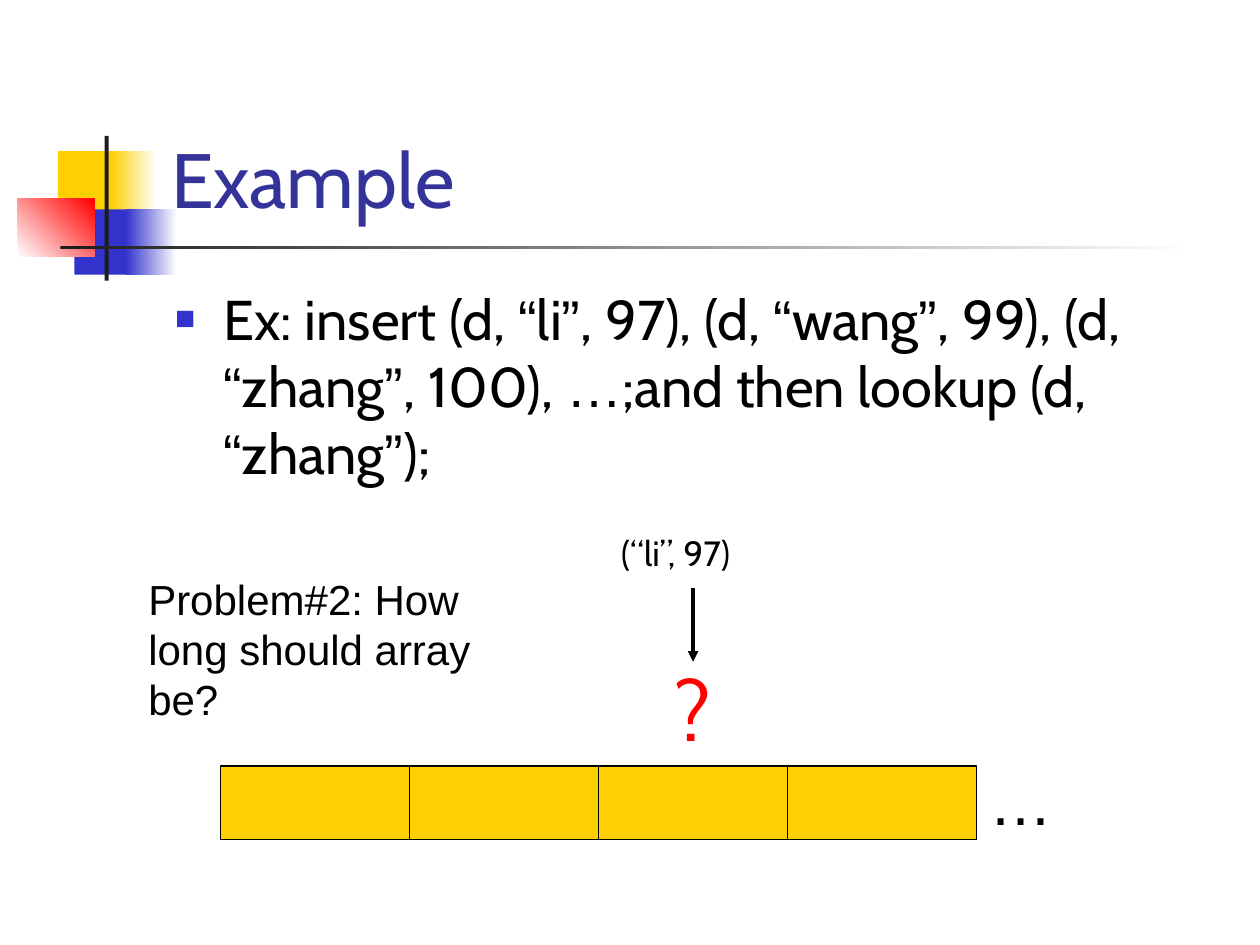
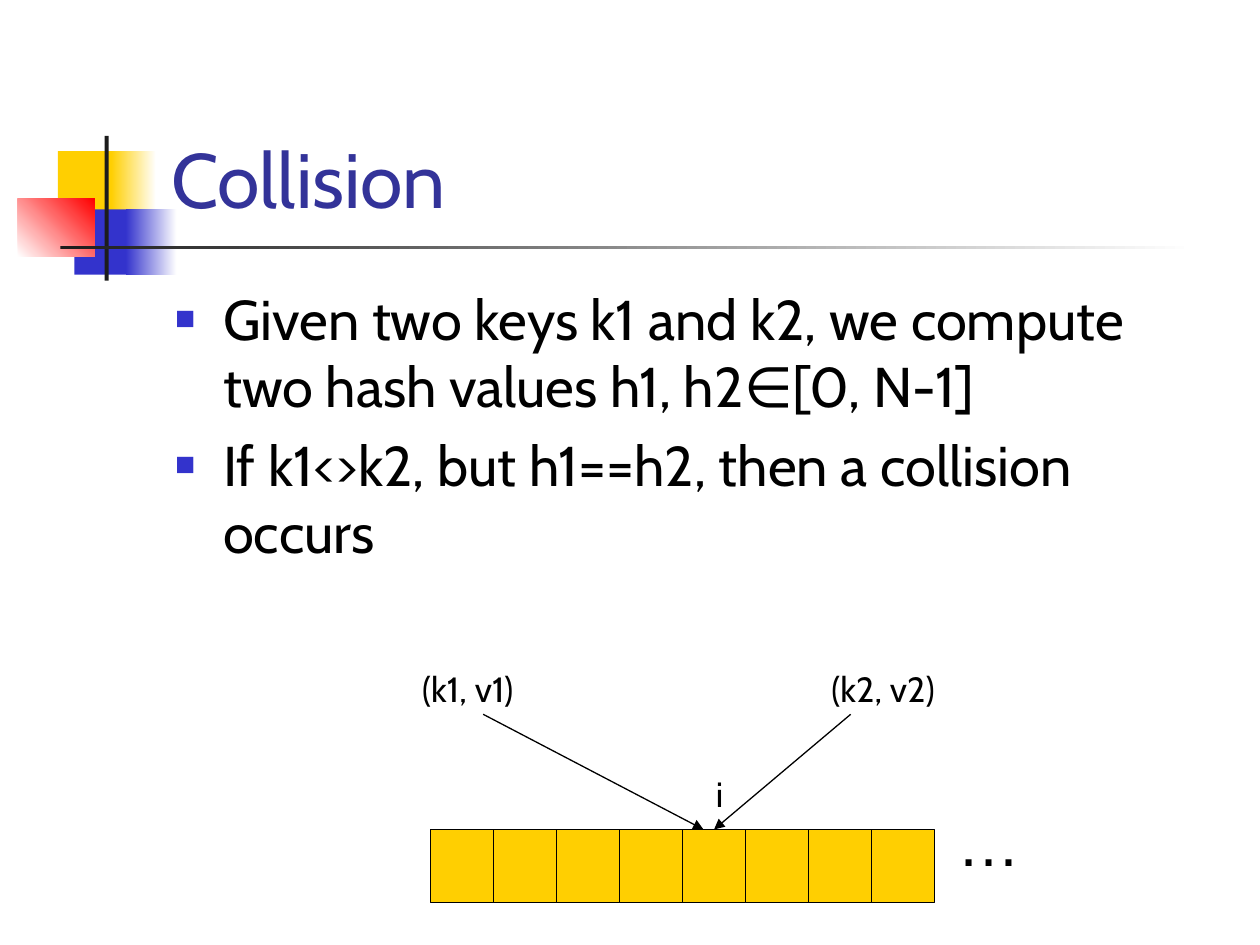
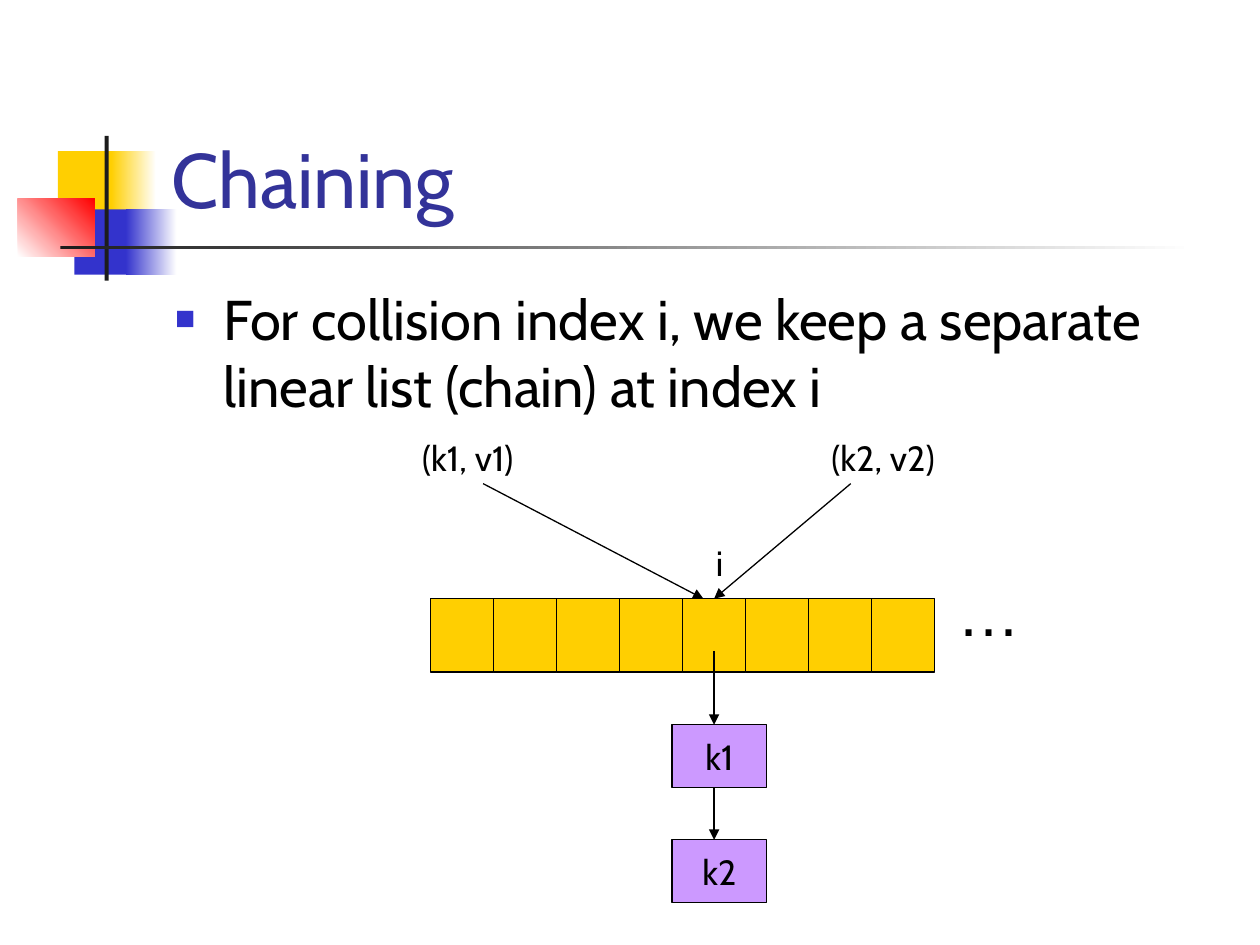
from itertools import groupby

from lxml.etree import SubElement
from pptx import Presentation
from pptx.dml.color import RGBColor
from pptx.enum.shapes import MSO_CONNECTOR as Connector, MSO_SHAPE as Shape
from pptx.enum.text import MSO_ANCHOR as Anchor, MSO_AUTO_SIZE as AutoSize, PP_ALIGN as Align
from pptx.oxml.ns import qn
from pptx.util import Cm, Pt

YELLOW = RGBColor(0xFF, 0xCF, 0x01)
BLUE = RGBColor(0x33, 0x33, 0xCC)
RED = RGBColor(0xFF, 0x00, 0x00)
WHITE = RGBColor(0xFF, 0xFF, 0xFF)
BLACK = RGBColor(0x00, 0x00, 0x00)
CHARCOAL = RGBColor(0x1C, 0x1C, 0x1C)
TITLE_BLUE = RGBColor(0x33, 0x33, 0x99)
LILAC = RGBColor(0xCC, 0x99, 0xFF)

MAIN_FONT, PLAIN_FONT = "Cabin", "Arial"
PLAIN_CHARACTERS = "“”…"

# Lengths are centimetres; a pair of colours is a gradient, followed by its angle
ORNAMENTS = [
    ((1.17, 3.05, 1.22, 1.32), YELLOW, 0),
    ((2.24, 3.05, 0.91, 1.32), (YELLOW, WHITE), 0),
    ((1.5, 4.22, 1.17, 1.32), BLUE, 0),
    ((2.54, 4.22, 1.02, 1.32), (BLUE, WHITE), 0),
    ((0.36, 4.01, 1.55, 1.17), (WHITE, RED), 45),
    ((2.11, 2.74, 0.08, 2.92), CHARCOAL, 0),
    ((1.22, 4.95, 22.86, 0.08), (CHARCOAL, WHITE), 0),
]
TITLE_AREA = (3.2, 0.58, 21.64, 4.06)
BODY_AREA = (3.28, 5.61, 21.59, 11.43)
BULLET_INDENT = 0.97

EXAMPLE = ("Example", [
    "Ex: insert (d, “li”, 97), (d, “wang”, 99), (d, “zhang”, 100), …;"
    "and then lookup (d, “zhang”);",
])
COLLISION = ("Collision", [
    "Given two keys k1 and k2, we compute two hash values h1, h2∈[0, N-1]",
    "If k1<>k2, but h1==h2, then a collision occurs",
])
CHAINING = ("Chaining", [
    "For collision index i, we keep a separate linear list (chain) at index i",
])
PAIRS = [("(k1, v1)", 8.26), ("(k2, v2)", 16.51)]
CHAIN = ["k1", "k2"]

CELL_HEIGHT = 1.48
TABLE_LEFT, TABLE_CELL_WIDTH, TABLE_CELLS = 8.68, 1.27, 8
COLLISION_CELL = 4
CHAIN_X = TABLE_LEFT + (COLLISION_CELL + 0.5) * TABLE_CELL_WIDTH
NODE_LEFT, NODE_TOP, NODE_WIDTH, NODE_HEIGHT, NODE_STEP = 13.55, 14.61, 1.91, 1.27, 2.32


def write(para, text, *, size=20, font=MAIN_FONT, color=BLACK):
    span = para.add_run()
    span.text = text
    span.font.size = Pt(size)
    span.font.name = font
    span.font.color.rgb = color


def add_box(page, area, *, anchor=Anchor.TOP):
    box = page.shapes.add_textbox(*map(Cm, area))
    box.text_frame.word_wrap = True
    box.text_frame.vertical_anchor = anchor
    return box.text_frame


def add_label(page, area, text, **format):
    frame = add_box(page, area)
    frame.auto_size = AutoSize.SHAPE_TO_FIT_TEXT
    write(frame.paragraphs[0], text, **format)


def add_rectangle(page, area, fill, *, angle=0, outlined=False):
    box = page.shapes.add_shape(Shape.RECTANGLE, *map(Cm, area))
    box.shadow.inherit = False
    if isinstance(fill, RGBColor):
        box.fill.solid()
        box.fill.fore_color.rgb = fill
    else:
        box.fill.gradient()
        box.fill.gradient_angle = angle
        for stop, color in zip(box.fill.gradient_stops, fill):
            stop.color.rgb = color
    if outlined:
        box.line.color.rgb = BLACK
        box.line.width = Pt(0.75)
    else:
        box.line.fill.background()
    return box


def add_arrow(page, start, end, *, width=0.75):
    arrow = page.shapes.add_connector(Connector.STRAIGHT, *map(Cm, start + end))
    arrow.line.color.rgb = BLACK
    arrow.line.width = Pt(width)
    SubElement(arrow.line._get_or_add_ln(), qn("a:tailEnd"), type="triangle")
    SubElement(arrow._element.spPr, qn("a:effectLst"))
    return arrow


def add_bullet(para, text):
    para.space_after = Pt(6.4)
    properties = para._p.get_or_add_pPr()
    properties.set("marL", str(Cm(BULLET_INDENT)))
    properties.set("indent", str(-Cm(BULLET_INDENT)))
    color = SubElement(properties, qn("a:buClr"))
    SubElement(color, qn("a:srgbClr"), val=str(BLUE))
    SubElement(properties, qn("a:buSzPct"), val="60000")
    SubElement(properties, qn("a:buFont"), typeface=PLAIN_FONT)
    SubElement(properties, qn("a:buChar"), char="■")
    for plain, letters in groupby(text, key=lambda letter: letter in PLAIN_CHARACTERS):
        write(para, "".join(letters), size=32, font=PLAIN_FONT if plain else MAIN_FONT)


def add_page(deck, title, bullets):
    """Add a slide with the shared ornaments, its title and its bullets."""
    page = deck.slides.add_slide(deck.slide_layouts[6])
    for area, fill, angle in ORNAMENTS:
        add_rectangle(page, area, fill, angle=angle)
    heading = add_box(page, TITLE_AREA, anchor=Anchor.BOTTOM)
    write(heading.paragraphs[0], title, size=44, color=TITLE_BLUE)
    body = add_box(page, BODY_AREA)
    for index, text in enumerate(bullets):
        add_bullet(body.add_paragraph() if index else body.paragraphs[0], text)
    return page


def add_cells(page, left, top, width, count):
    return [
        add_rectangle(page, (left + index * width, top, width, CELL_HEIGHT), YELLOW, outlined=True)
        for index in range(count)
    ]


def add_ellipsis(page, left, top):
    add_label(page, (left, top, 2.54, 1.78), "…", size=36, font=PLAIN_FONT)


def add_hash_table(page, top):
    """Draw the array with both pairs pointing at the same cell."""
    cells = add_cells(page, TABLE_LEFT, top, TABLE_CELL_WIDTH, TABLE_CELLS)
    add_ellipsis(page, 19.05, top - 0.64)
    for text, left in PAIRS:
        add_label(page, (left, top - 3.39, 3.61, 1.09), text)
    add_label(page, (14.18, top - 1.27, 2.74, 1.09), "i")
    add_arrow(page, (9.74, top - 2.32), (14.18, top))
    second = add_arrow(page, (17.15, top - 2.32), (CHAIN_X, top))
    second.end_connect(cells[COLLISION_CELL], 0)


def add_chain(page, start):
    """Draw the list of nodes, the first arrow leaving from height start."""
    for index, key in enumerate(CHAIN):
        top = NODE_TOP + index * NODE_STEP
        node = add_rectangle(page, (NODE_LEFT, top, NODE_WIDTH, NODE_HEIGHT), LILAC, outlined=True)
        frame = node.text_frame
        frame.word_wrap = False
        frame.vertical_anchor = Anchor.MIDDLE
        frame.paragraphs[0].alignment = Align.CENTER
        write(frame.paragraphs[0], key)
        add_arrow(page, (CHAIN_X, start), (CHAIN_X, top))
        start = top + NODE_HEIGHT


def main():
    deck = Presentation()
    deck.slide_width, deck.slide_height = Cm(25.4), Cm(19.05)

    example = add_page(deck, *EXAMPLE)
    add_cells(example, 4.45, 15.44, 3.81, 4)
    add_ellipsis(example, 19.69, 15.24)
    add_label(example, (12.27, 10.59, 3.81, 1.09), "(“li”, 97)")
    add_arrow(example, (13.97, 11.86), (13.97, 13.34), width=2)
    add_label(example, (13.34, 13.13, 1.7, 2.29), "?", size=48, color=RED)
    add_label(example, (2.74, 11.43, 8.26, 3.3), "Problem#2: How long should array be?",
              size=24, font=PLAIN_FONT)

    collision = add_page(deck, *COLLISION)
    add_hash_table(collision, 16.72)

    chaining = add_page(deck, *CHAINING)
    add_hash_table(chaining, 12.07)
    add_chain(chaining, 13.12)

    deck.save("out.pptx")


if __name__ == "__main__":
    main()
